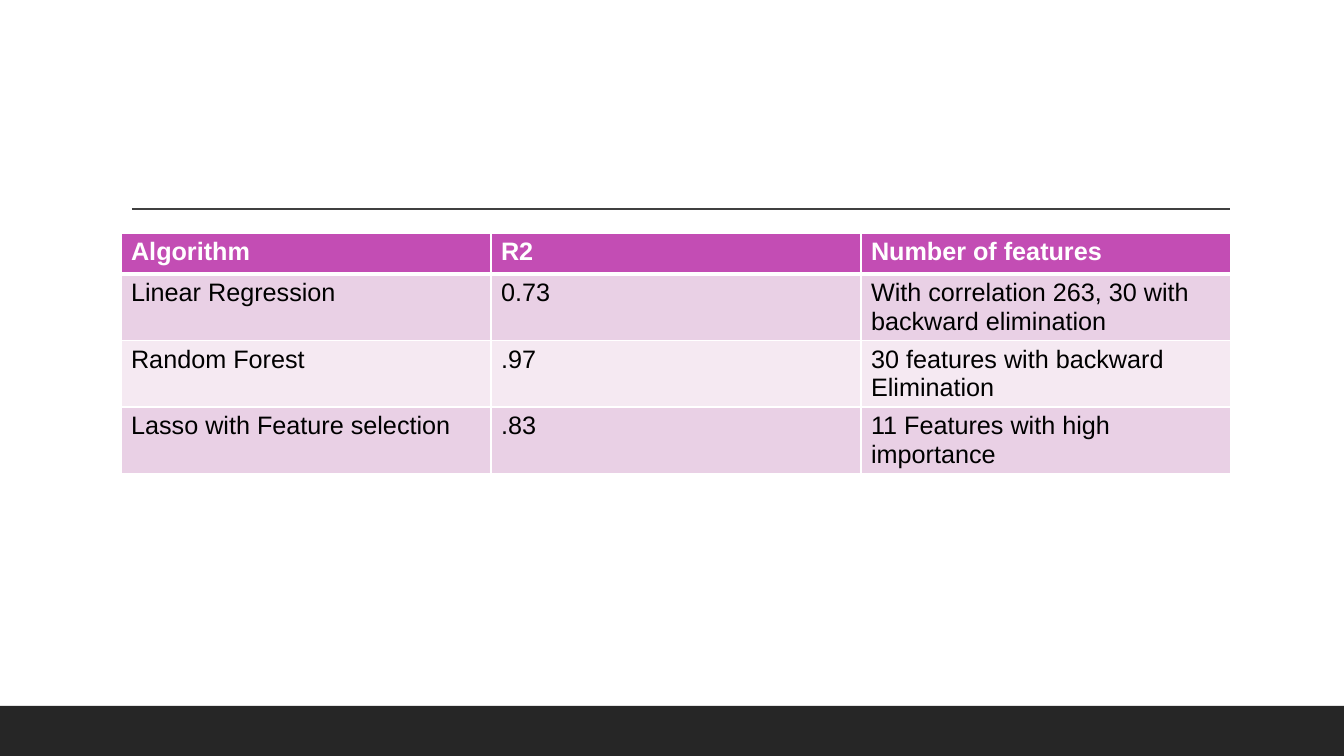
from lxml.etree import SubElement
from pptx import Presentation
from pptx.dml.color import RGBColor
from pptx.enum.shapes import MSO_CONNECTOR, MSO_SHAPE
from pptx.oxml.ns import qn
from pptx.util import Pt

PX = 914400 / 100.8
COLORS = {
    "footer": "262626", "rule": "404040", "header": "C34DB4",
    "odd": "E9D0E5", "even": "F5E9F2", "white": "FFFFFF", "black": "000000",
}
ROWS = [
    ("Algorithm", "R2", "Number of features"),
    ("Linear Regression", "0.73",
     "With correlation 263, 30 with backward elimination"),
    ("Random Forest", ".97", "30 features with backward Elimination"),
    ("Lasso with Feature selection", ".83", "11 Features with high importance"),
]


def px(n):
    return round(n * PX)


def rgb(name):
    return RGBColor.from_string(COLORS[name])


def add_bar(slide, x, y, w, h, color):
    sp = slide.shapes.add_shape(MSO_SHAPE.RECTANGLE, px(x), px(y), px(w), px(h))
    sp.shadow.inherit = False
    sp.fill.solid()
    sp.fill.fore_color.rgb = rgb(color)
    sp.line.fill.background()


def add_rule(slide, x1, x2, y, color):
    line = slide.shapes.add_connector(
        MSO_CONNECTOR.STRAIGHT, px(x1), px(y), px(x2), px(y))
    line.line.color.rgb = rgb(color)
    line.line.width = Pt(1)
    SubElement(line._element.spPr, qn("a:effectLst"))


def set_borders(cell, widths):
    """Draw white cell edges; widths maps L, R, T, B, in that order, to points."""
    tcPr = cell._tc.get_or_add_tcPr()
    for side, width in widths.items():
        ln = SubElement(tcPr, qn(f"a:ln{side}"), w=str(Pt(width)))
        fill = SubElement(ln, qn("a:solidFill"))
        SubElement(fill, qn("a:srgbClr"), val=COLORS["white"])


def style_cell(cell, text, row):
    header = row == 0
    set_borders(cell, {"L": 1, "R": 1, "T": 3 if row == 1 else 1,
                       "B": 3 if header else 1})
    cell.fill.solid()
    cell.fill.fore_color.rgb = rgb(
        "header" if header else "odd" if row % 2 else "even")
    cell.text_frame.text = text
    font = cell.text_frame.paragraphs[0].runs[0].font
    font.name = "Arial"
    font.size = Pt(18)
    font.bold = header
    font.color.rgb = rgb("white" if header else "black")


def add_results_table(slide, x, y, col_w, row_h):
    n_rows, n_cols = len(ROWS), len(ROWS[0])
    table = slide.shapes.add_table(
        n_rows, n_cols, px(x), px(y), px(col_w * n_cols), px(row_h * n_rows)).table
    for r, texts in enumerate(ROWS):
        for c, text in enumerate(texts):
            style_cell(table.cell(r, c), text, r)


def main():
    prs = Presentation()
    prs.slide_width, prs.slide_height = px(1344), px(756)
    slide = prs.slides.add_slide(prs.slide_layouts[6])
    add_bar(slide, 0, 706, 1344, 50, "footer")
    add_rule(slide, 132, 1230, 209, "rule")
    add_results_table(slide, 121, 233, 370, 41)
    prs.save("out.pptx")


if __name__ == "__main__":
    main()
